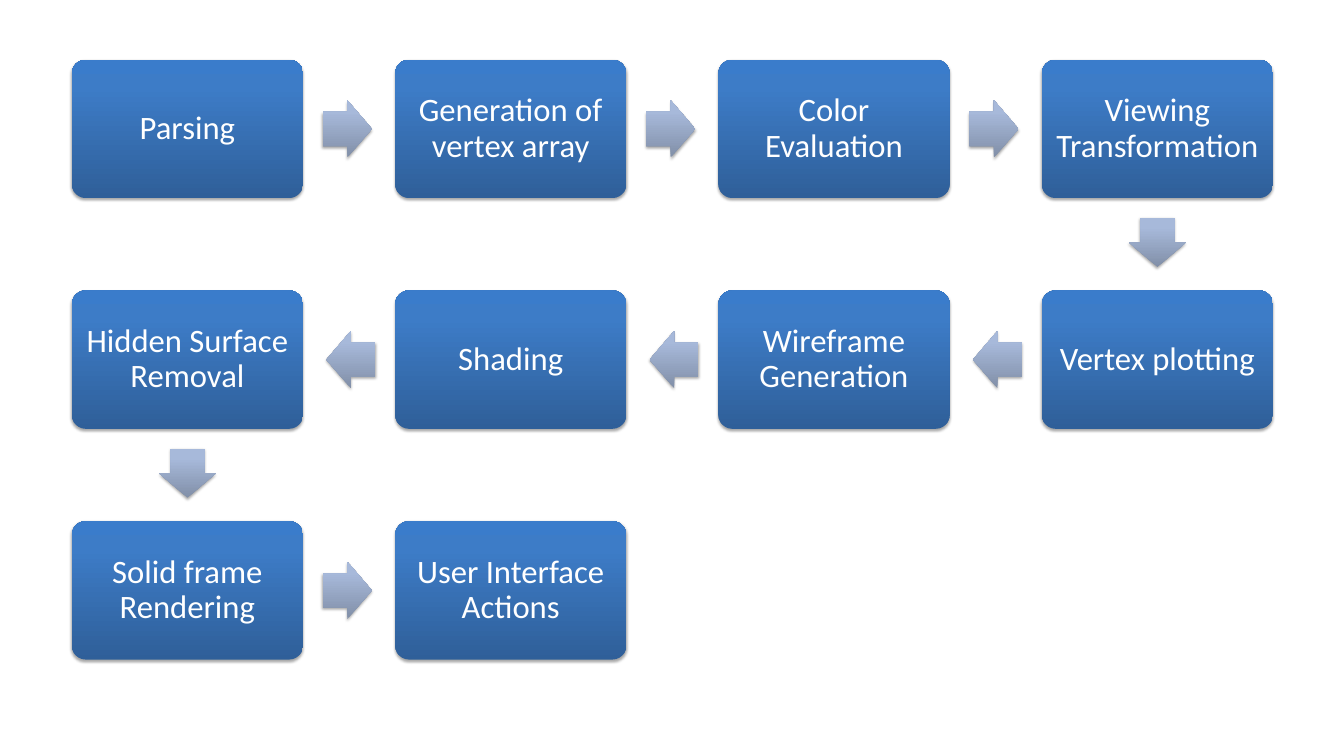
from lxml import etree
from pptx import Presentation
from pptx.dml.color import RGBColor
from pptx.enum.shapes import MSO_SHAPE
from pptx.enum.text import MSO_ANCHOR, PP_ALIGN
from pptx.oxml import parse_xml
from pptx.oxml.ns import nsdecls
from pptx.util import Pt

WHITE = RGBColor(0xFF, 0xFF, 0xFF)
SHADOW = RGBColor(0x00, 0x00, 0x00)
# Gradient colours from bottom to top, at 0, 80 and 100 percent
STOPS = (0, 80, 100)
STEP_BLUES = (RGBColor(0x2F, 0x5F, 0x99), RGBColor(0x3D, 0x7C, 0xC7), RGBColor(0x3A, 0x7C, 0xCB))
ARROW_BLUES = (RGBColor(0x81, 0x8F, 0xA8), RGBColor(0xA7, 0xB9, 0xDA), RGBColor(0xA7, 0xBA, 0xDC))

STEPS = ["Parsing", "Generation of vertex array", "Color Evaluation",
         "Viewing Transformation", "Vertex plotting", "Wireframe Generation",
         "Shading", "Hidden Surface Removal", "Solid frame Rendering",
         "User Interface Actions"]
COLUMNS = 4
BOX_W, BOX_H = 247.7, 148.3
PITCH_X, PITCH_Y = 346.4, 247.3
ARROW_W, ARROW_H = 52.6, 61.2
ARROW_REACH = 47.5  # from a box edge to the centre of its arrow


def style(sp, colors):
    """Give the shape an upright gradient, no line and a soft shadow below."""
    sp.line.fill.background()
    stops = "".join(f'<a:gs pos="{pos * 1000}"><a:srgbClr val="{color}"/></a:gs>'
                    for pos, color in zip(STOPS, colors))
    sp.fill.background()
    sp_pr = sp._element.spPr
    no_fill = sp_pr.find("{*}noFill")
    sp_pr.replace(no_fill, parse_xml(
        f'<a:gradFill {nsdecls("a")} rotWithShape="0"><a:gsLst>{stops}</a:gsLst>'
        '<a:lin ang="16200000" scaled="0"/></a:gradFill>'))
    sp_pr.append(parse_xml(
        f'<a:effectLst {nsdecls("a")}><a:outerShdw blurRad="{Pt(3.1)}" dist="{Pt(1.8)}" '
        f'dir="5400000" rotWithShape="0"><a:srgbClr val="{SHADOW}">'
        '<a:alpha val="35000"/></a:srgbClr></a:outerShdw></a:effectLst>'))


def add_step(s, left, top, text):
    sp = s.shapes.add_shape(MSO_SHAPE.ROUNDED_RECTANGLE, Pt(left), Pt(top), Pt(BOX_W), Pt(BOX_H))
    sp.adjustments[0] = 0.1
    style(sp, STEP_BLUES)
    tf = sp.text_frame
    tf.word_wrap = True
    tf.vertical_anchor = MSO_ANCHOR.MIDDLE
    tf.margin_left = tf.margin_right = tf.margin_top = tf.margin_bottom = Pt(10.8)
    p = tf.paragraphs[0]
    p.text = text
    p.alignment = PP_ALIGN.CENTER
    p.line_spacing = 0.9
    p.font.name = "Calibri"
    p.font.size = Pt(35)
    p.font.color.rgb = WHITE


def add_arrow(s, left, top, dx, dy):
    """Point from the box at left, top towards its neighbour dx columns, dy rows away."""
    x = left + BOX_W / 2 + dx * (BOX_W / 2 + ARROW_REACH)
    y = top + BOX_H / 2 + dy * (BOX_H / 2 + ARROW_REACH)
    sp = s.shapes.add_shape(MSO_SHAPE.RIGHT_ARROW, Pt(x - ARROW_W / 2), Pt(y - ARROW_H / 2),
                            Pt(ARROW_W), Pt(ARROW_H))
    sp.adjustments[0] = 0.6
    sp.adjustments[1] = 0.5
    sp.rotation = {(1, 0): 0, (0, 1): 90, (-1, 0): 180}[dx, dy]
    style(sp, ARROW_BLUES)


def snake_cell(i):
    """Column and row of step i; every second row runs right to left."""
    row, col = divmod(i, COLUMNS)
    return (COLUMNS - 1 - col if row % 2 else col), row


def add_process(s, left, top):
    for i, text in enumerate(STEPS):
        col, row = snake_cell(i)
        x, y = left + col * PITCH_X, top + row * PITCH_Y
        add_step(s, x, y, text)
        if i + 1 < len(STEPS):
            next_col, next_row = snake_cell(i + 1)
            add_arrow(s, x, y, next_col - col, next_row - row)


def main():
    prs = Presentation()
    prs.slide_width, prs.slide_height = Pt(1440), Pt(792)
    s = prs.slides.add_slide(prs.slide_layouts[6])
    add_process(s, 77, 64)
    prs.save("out.pptx")


if __name__ == "__main__":
    main()
